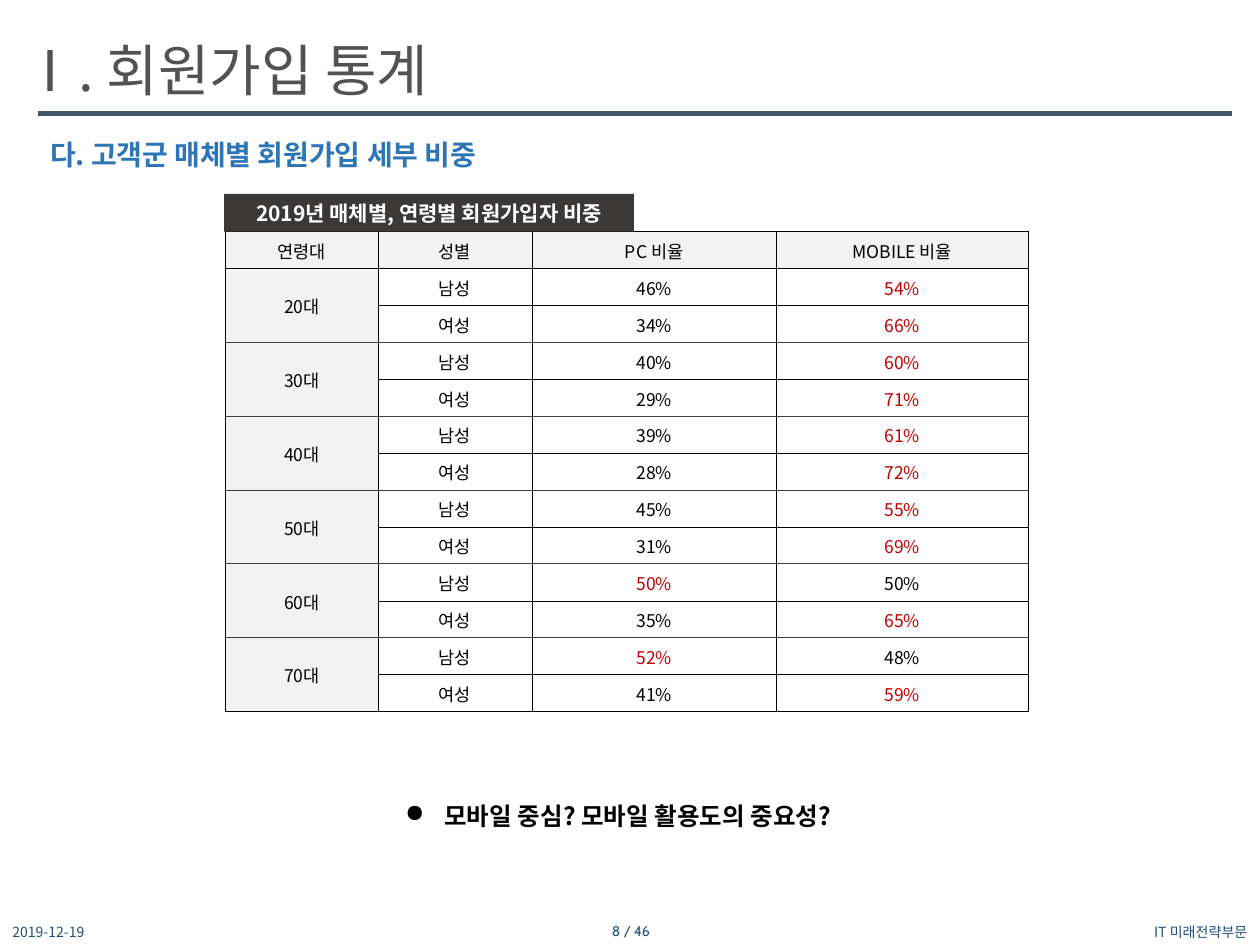
import dataclasses
import typing

import lxml.etree
import pptx
import pptx.dml.color
import pptx.enum.shapes
import pptx.enum.text
import pptx.oxml.ns
import pptx.util

Cm = pptx.util.Cm
Pt = pptx.util.Pt
Align = pptx.enum.text.PP_ALIGN
Anchor = pptx.enum.text.MSO_ANCHOR
qn = pptx.oxml.ns.qn

COLOURS = {
    "title": "525252", "subtitle": "2E75B6", "footer": "1F4E79", "rule": "44546A",
    "tag": "3B3838", "white": "FFFFFF", "black": "000000", "major": "C00000",
    "header": "F2F2F2", "group_line": "404040",
}
KOREAN = "Noto Sans CJK KR"
HEADINGS = ("연령대", "성별", "PC 비율", "MOBILE 비율")
COLUMN_WIDTHS = (3.07, 3.1, 4.93, 5.08)
TABLE_HEIGHT = 9.68
GENDERS = ("남성", "여성")


@dataclasses.dataclass
class Style:
    size: float
    colour: str
    bold: bool = False
    font: str = KOREAN
    align: typing.Any = Align.LEFT


@dataclasses.dataclass
class Label:
    text: str
    left: float
    top: float
    width: float
    height: float
    style: Style
    anchor: typing.Any = Anchor.TOP


@dataclasses.dataclass
class AgeGroup:
    name: str
    pc_shares: tuple[int, int]


AGE_GROUPS = (
    AgeGroup("20대", (46, 34)), AgeGroup("30대", (40, 29)), AgeGroup("40대", (39, 28)),
    AgeGroup("50대", (45, 31)), AgeGroup("60대", (50, 35)), AgeGroup("70대", (52, 41)),
)
TITLE = Label("Ⅰ. 회원가입 통계", 0.2, 0.58, 16.41, 1.63, Style(32, "title"))
TAG = Label("2019년 매체별, 연령별 회원가입자 비중", 4.52, 3.91, 8.26, 0.76,
            Style(12, "white", bold=True, align=Align.CENTER), Anchor.MIDDLE)
QUESTION = Label("모바일 중심? 모바일 활용도의 중요성?", 7.92, 15.42, 10.39, 1.45,
                 Style(14, "black", bold=True))
LABELS = (
    Label("다. 고객군 매체별 회원가입 세부 비중", 0.76, 2.64, 9.7, 0.94,
          Style(16, "subtitle", bold=True)),
    Label("2019-12-19", 0, 18.54, 5.72, 0.51, Style(8, "footer"), Anchor.MIDDLE),
    Label("8 / 46", 9.86, 18.52, 5.72, 0.51,
          Style(8, "footer", font="Cabin", align=Align.CENTER), Anchor.MIDDLE),
    Label("IT 미래전략부문", 20.57, 18.52, 4.83, 0.53,
          Style(8, "footer", align=Align.RIGHT), Anchor.MIDDLE),
)


def rgb(name: str) -> pptx.dml.color.RGBColor:
    return pptx.dml.color.RGBColor.from_string(COLOURS[name])


def write(frame, text: str, style: Style):
    para = frame.paragraphs[0]
    para.alignment = style.align
    span = para.add_run()
    span.text = text
    span.font.name = style.font
    span.font.size = Pt(style.size)
    span.font.bold = style.bold
    span.font.color.rgb = rgb(style.colour)
    latin = span.font._element.find(qn("a:latin"))
    east_asian = lxml.etree.Element(qn("a:ea"), typeface=style.font)
    latin.addnext(east_asian)
    return para


def fill_box(box, label: Label):
    frame = box.text_frame
    frame.word_wrap = True
    frame.auto_size = pptx.enum.text.MSO_AUTO_SIZE.NONE
    frame.vertical_anchor = label.anchor
    return write(frame, label.text, label.style)


def bounds(label: Label) -> list:
    return [Cm(value) for value in (label.left, label.top, label.width, label.height)]


def draw_label(page, label: Label):
    return fill_box(page.shapes.add_textbox(*bounds(label)), label)


def draw_title(page) -> None:
    box = page.shapes.title
    box.left, box.top, box.width, box.height = bounds(TITLE)
    fill_box(box, TITLE)


def draw_rule(page) -> None:
    rule = page.shapes.add_connector(
        pptx.enum.shapes.MSO_CONNECTOR.STRAIGHT, Cm(0.76), Cm(2.29), Cm(24.84), Cm(2.29))
    rule.line.color.rgb = rgb("rule")
    rule.line.width = Pt(3)
    lxml.etree.SubElement(rule._element.spPr, qn("a:effectLst"))


def draw_tag(page) -> None:
    box = page.shapes.add_shape(pptx.enum.shapes.MSO_SHAPE.RECTANGLE, *bounds(TAG))
    box.shadow.inherit = False
    box.fill.solid()
    box.fill.fore_color.rgb = rgb("tag")
    box.line.fill.background()
    fill_box(box, TAG)


def draw_question(page) -> None:
    para = draw_label(page, QUESTION)
    para.line_spacing = 2.0
    properties = para._p.get_or_add_pPr()
    properties.set("marL", str(Cm(0.79)))
    properties.set("indent", str(-Cm(0.79)))
    lxml.etree.SubElement(properties, qn("a:buChar"), char="●")


def column_edge(index: int) -> tuple[float, str]:
    return (1 if index in (0, len(HEADINGS)) else 0.25), "black"


def row_edge(index: int, last: int) -> tuple[float, str]:
    if index in (0, 1, last):
        return 1, "black"
    return (0.5, "group_line") if index % 2 else (0.25, "black")


def add_border(cell, side: str, width: float, colour: str) -> None:
    properties = cell._tc.get_or_add_tcPr()
    line = lxml.etree.SubElement(properties, qn("a:" + side), w=str(Pt(width)))
    solid = lxml.etree.SubElement(line, qn("a:solidFill"))
    lxml.etree.SubElement(solid, qn("a:srgbClr"), val=COLOURS[colour])


def table_rows() -> list[list[tuple[str, str]]]:
    rows = [[(heading, "black") for heading in HEADINGS]]
    for group in AGE_GROUPS:
        for index, (gender, share) in enumerate(zip(GENDERS, group.pc_shares)):
            pc_colour, mobile_colour = ("major", "black") if share >= 50 else ("black", "major")
            rows.append([("" if index else group.name, "black"), (gender, "black"),
                         (f"{share}%", pc_colour), (f"{100 - share}%", mobile_colour)])
    return rows


def draw_table(page) -> None:
    rows = table_rows()
    last = len(rows)
    table = page.shapes.add_table(last, len(HEADINGS), Cm(4.55), Cm(4.67),
                                  Cm(sum(COLUMN_WIDTHS)), Cm(TABLE_HEIGHT)).table
    table.first_row = table.horz_banding = False
    for column, width in zip(table.columns, COLUMN_WIDTHS):
        column.width = Cm(width)
    for r, values in enumerate(rows):
        table.rows[r].height = Cm(TABLE_HEIGHT / last)
        for c, (text, colour) in enumerate(values):
            cell = table.cell(r, c)
            cell.margin_left = cell.margin_right = cell.margin_top = Cm(0.03)
            cell.margin_bottom = 0
            cell.vertical_anchor = Anchor.MIDDLE
            edges = (column_edge(c), column_edge(c + 1), row_edge(r, last), row_edge(r + 1, last))
            for side, edge in zip(("lnL", "lnR", "lnT", "lnB"), edges):
                add_border(cell, side, *edge)
            if r == 0 or c == 0:
                cell.fill.solid()
                cell.fill.fore_color.rgb = rgb("header")
            else:
                cell.fill.background()
            if text:
                write(cell.text_frame, text, Style(10, colour, align=Align.CENTER))
    for r in range(1, last, len(GENDERS)):
        table.cell(r, 0).merge(table.cell(r + 1, 0))


def main() -> None:
    deck = pptx.Presentation()
    deck.slide_width, deck.slide_height = Cm(25.4), Cm(19.05)
    page = deck.slides.add_slide(deck.slide_layouts[5])
    draw_title(page)
    draw_rule(page)
    draw_table(page)
    draw_tag(page)
    for label in LABELS:
        draw_label(page, label)
    draw_question(page)
    deck.save("out.pptx")


if __name__ == "__main__":
    main()
